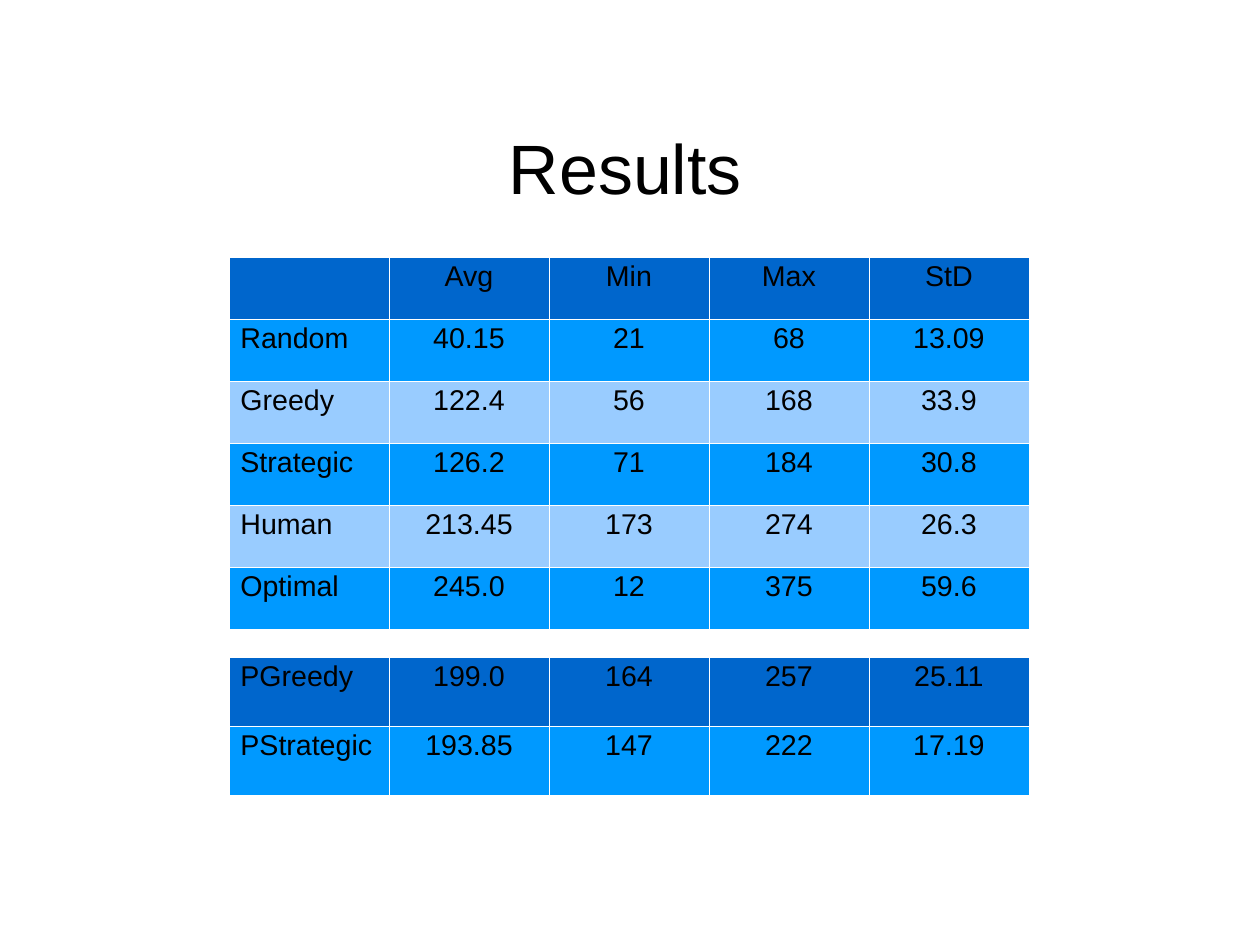
from dataclasses import dataclass

from lxml import etree
from pptx import Presentation
from pptx import util as u
from pptx.dml.color import RGBColor
from pptx.enum import text
from pptx.oxml import ns
from pptx.slide import Slide
from pptx.table import _Cell as Cell
from pptx.text.text import TextFrame

PX = 8000  # EMU in one px; the slide is 28 by 21 cm
FONT = "Arial"
BLACK = RGBColor(0x00, 0x00, 0x00)
WHITE = RGBColor(0xFF, 0xFF, 0xFF)
NAVY = RGBColor(0x00, 0x66, 0xCC)
BLUE = RGBColor(0x00, 0x99, 0xFF)
PALE = RGBColor(0x99, 0xCC, 0xFF)
HAIR = 720  # border width in EMU


@dataclass
class Grid:
    top: int
    height: int
    rows: list[list[str]]


GRIDS = [
    Grid(257, 372, [
        ["", "Avg", "Min", "Max", "StD"],
        ["Random", "40.15", "21", "68", "13.09"],
        ["Greedy", "122.4", "56", "168", "33.9"],
        ["Strategic", "126.2", "71", "184", "30.8"],
        ["Human", "213.45", "173", "274", "26.3"],
        ["Optimal", "245.0", "12", "375", "59.6"],
    ]),
    Grid(657, 138, [
        ["PGreedy", "199.0", "164", "257", "25.11"],
        ["PStrategic", "193.85", "147", "222", "17.19"],
    ]),
]


def px(n: int) -> u.Emu:
    return u.Emu(n * PX)


def write(frame: TextFrame, words: str, size: int, align: text.PP_ALIGN) -> None:
    frame.text = words
    para = frame.paragraphs[0]
    para.alignment = align
    para.line_spacing = 0.93
    for run in para.runs:
        run.font.size = u.Pt(size)
        run.font.name = FONT
        run.font.bold = False
        run.font.color.rgb = BLACK


def edge(cell: Cell) -> None:
    props = cell._tc.get_or_add_tcPr()
    for side in ("lnL", "lnR", "lnT", "lnB"):
        line = etree.SubElement(props, ns.qn(f"a:{side}"), w=str(HAIR))
        fill = etree.SubElement(line, ns.qn("a:solidFill"))
        etree.SubElement(fill, ns.qn("a:srgbClr"), val=str(WHITE))


def shade(row: int) -> RGBColor:
    if row == 0:
        return NAVY
    return BLUE if row % 2 else PALE


def draw(slide: Slide, grid: Grid) -> None:
    table = slide.shapes.add_table(
        len(grid.rows), len(grid.rows[0]),
        px(229), px(grid.top), px(800), px(grid.height)).table
    table.first_row = table.horz_banding = False
    for r, row in enumerate(grid.rows):
        for c, words in enumerate(row):
            cell = table.cell(r, c)
            align = text.PP_ALIGN.CENTER if c else text.PP_ALIGN.LEFT
            write(cell.text_frame, words, 18, align)
            edge(cell)
            cell.fill.solid()
            cell.fill.fore_color.rgb = shade(r)


def main() -> None:
    deck = Presentation()
    deck.slide_width, deck.slide_height = px(1260), px(945)
    slide = deck.slides.add_slide(deck.slide_layouts[5])

    # Title
    title = slide.shapes.title
    title.left, title.top, title.width, title.height = map(px, (104, 96, 1043, 146))
    frame = title.text_frame
    frame.margin_left = frame.margin_right = frame.margin_bottom = 0
    frame.margin_top = px(5)
    frame.vertical_anchor = text.MSO_ANCHOR.MIDDLE
    write(frame, "Results", 44, text.PP_ALIGN.CENTER)

    # Result tables
    for grid in GRIDS:
        draw(slide, grid)

    deck.save("out.pptx")


if __name__ == "__main__":
    main()
